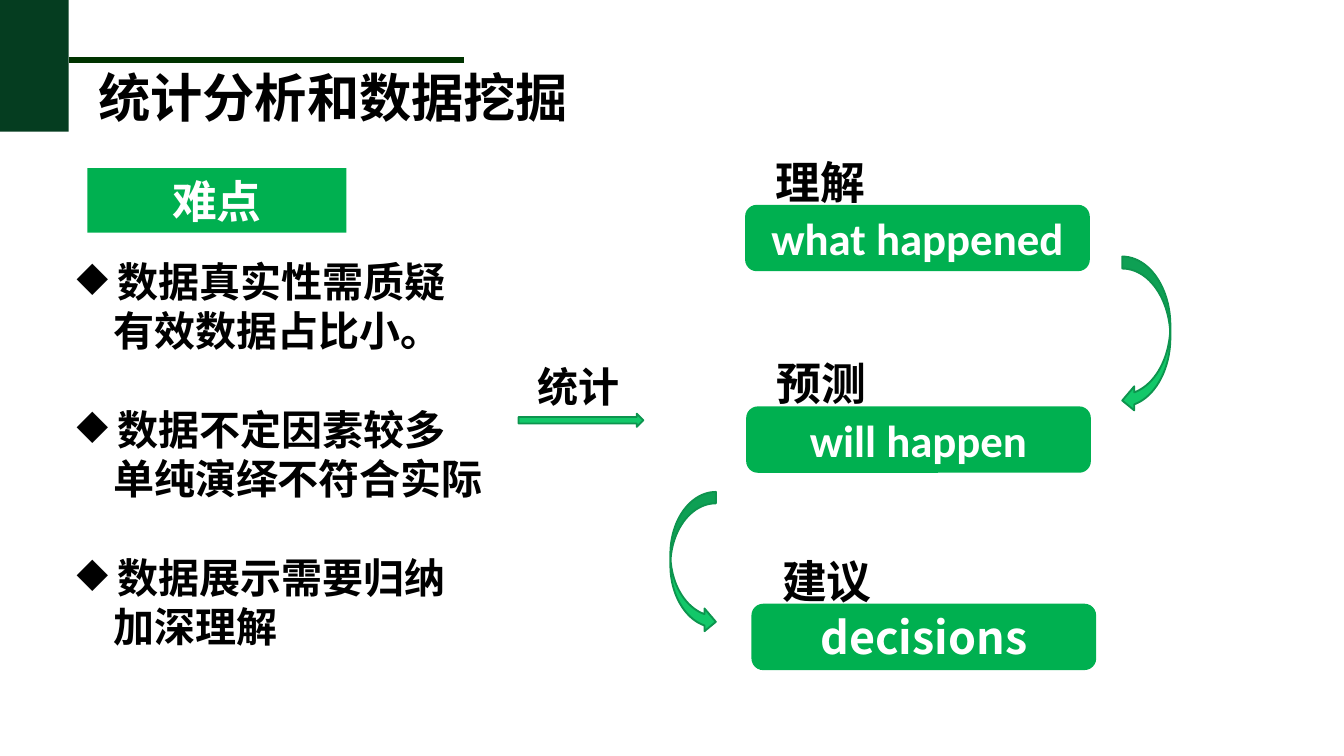
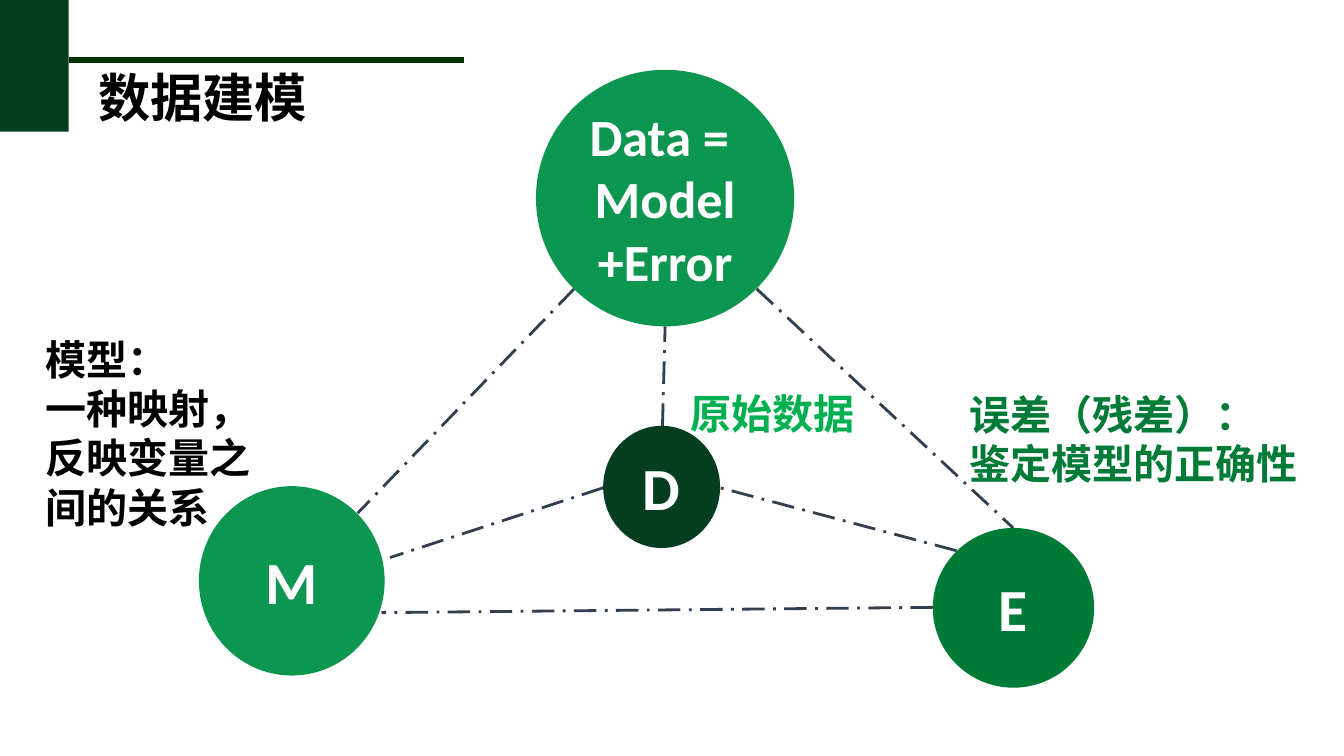
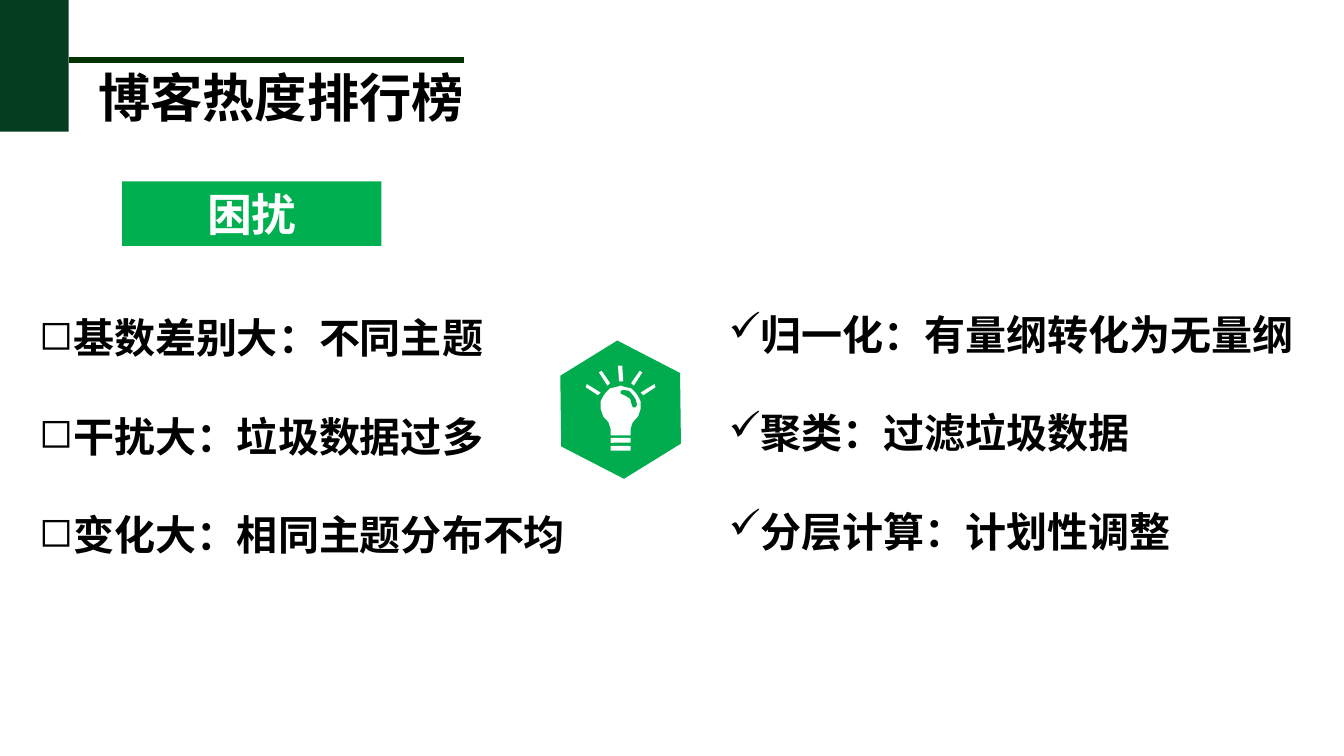
from dataclasses import dataclass

import lxml.etree
import pptx
import pptx.dml.color
import pptx.enum.dml
import pptx.enum.shapes
import pptx.enum.text
import pptx.oxml.ns
import pptx.util

Cm = pptx.util.Cm
Pt = pptx.util.Pt
SHAPE = pptx.enum.shapes.MSO_SHAPE
ALIGN = pptx.enum.text.PP_ALIGN
ANCHOR = pptx.enum.text.MSO_ANCHOR

# Shared style
DARK, RULE, GREEN, LEAF, FOREST = "053D20", "003300", "00B050", "0D964F", "007A37"
ARROW_FILL, ARROW_LINE, LINK, HEXAGON = "12C869", "0D944E", "323F4F", "00AC4E"
WHITE, BLACK, INK = "FFFFFF", "000000", "010101"
CHINESE, LATIN, ACCENT = "Noto Sans CJK SC", "Calibri", "TeX Gyre Adventor"
LINE_PITCH = 1.2
BULB_CENTER = 11.73


@dataclass
class Box:
    left: float
    top: float
    width: float
    height: float

    def lengths(self) -> list:
        return [Cm(value) for value in (self.left, self.top, self.width, self.height)]


@dataclass
class Style:
    size: float = 22
    color: str = BLACK
    font: str = CHINESE
    align: object = ALIGN.LEFT
    pitch: float = LINE_PITCH


@dataclass
class Line:
    text: str
    bullet: str = ""
    indent: float = 0
    gap: bool = False


@dataclass
class Step:
    left: float
    top: float
    label: str
    result: str
    font: str = LATIN


@dataclass
class Circle:
    box: Box
    color: str
    lines: list
    size: float


@dataclass
class Note:
    box: Box
    lines: list
    style: Style


@dataclass
class Link:
    x1: float
    y1: float
    x2: float
    y2: float


TAG_STYLE = Style(24, WHITE, LATIN, ALIGN.CENTER)


def rgb(value: str):
    return pptx.dml.color.RGBColor.from_string(value)


def add_xml(parent, tag: str, **attributes) -> None:
    lxml.etree.SubElement(parent, pptx.oxml.ns.qn(tag), **attributes)


def write(shape, lines: list, style: Style, anchor=ANCHOR.TOP,
          margins: tuple = (0.18, 0.1, 0.18, 0.1)) -> None:
    """Fill a shape with bold lines on an even line pitch."""
    frame = shape.text_frame
    frame.text = "\n".join(line.text for line in lines)
    frame.word_wrap = True
    frame.vertical_anchor = anchor
    (frame.margin_left, frame.margin_top,
     frame.margin_right, frame.margin_bottom) = map(Cm, margins)
    pitch = Pt(style.size * style.pitch)
    for para, line in zip(frame.paragraphs, lines):
        para.alignment = style.align
        para.line_spacing = pitch
        if line.gap:
            para.space_before = pitch
        properties = para._p.get_or_add_pPr()
        properties.set("marL", str(Cm(line.indent)))
        properties.set("indent", "0")
        if line.bullet:
            add_xml(properties, "a:buChar", char=line.bullet)
        for span in para.runs:
            span.font.size = Pt(style.size)
            span.font.bold = True
            span.font.name = style.font
            span.font.color.rgb = rgb(style.color)
            add_xml(span._r.get_or_add_rPr(), "a:ea", typeface=CHINESE)


def paint(shape, fill: str, outline: str = ""):
    shape.shadow.inherit = False
    shape.fill.solid()
    shape.fill.fore_color.rgb = rgb(fill)
    if outline:
        shape.line.color.rgb = rgb(outline)
        shape.line.width = Pt(1)
    else:
        shape.line.fill.background()
    return shape


def add_block(page, kind, box: Box, fill: str, outline: str = ""):
    return paint(page.shapes.add_shape(kind, *box.lengths()), fill, outline)


def add_text(page, box: Box, lines: list, style: Style, **layout) -> None:
    write(page.shapes.add_textbox(*box.lengths()), lines, style, **layout)


def add_line(page, link: Link, color: str, width: float, dash=None) -> None:
    ends = [Cm(value) for value in (link.x1, link.y1, link.x2, link.y2)]
    line = page.shapes.add_connector(pptx.enum.shapes.MSO_CONNECTOR.STRAIGHT, *ends)
    line.line.color.rgb = rgb(color)
    line.line.width = Pt(width)
    if dash:
        line.line.dash_style = dash
    add_xml(line._element.spPr, "a:effectLst")


def add_outline(page, points: list, fill: str) -> None:
    """Draw a closed polygon; x counts from the centre of the bulb."""
    corners = [(Cm(BULB_CENTER + x), Cm(y)) for x, y in points]
    builder = page.shapes.build_freeform(*corners[0])
    builder.add_line_segments(corners[1:], close=True)
    paint(builder.convert_to_shape(), fill)


def mirror(points: list) -> list:
    return [(-x, y) for x, y in points]


def add_tag(page, left: float, top: float, text: str) -> None:
    tag = add_block(page, SHAPE.RECTANGLE, Box(left, top, 4.9, 1.22), GREEN)
    write(tag, [Line(text)], TAG_STYLE, ANCHOR.MIDDLE)


def add_page(deck, title: str):
    """Start a page with the corner band, rule and title."""
    page = deck.slides.add_slide(deck.slide_layouts[6])
    add_block(page, SHAPE.RECTANGLE, Box(0, 0, 1.3, 2.49), DARK)
    add_line(page, Link(1.3, 1.14, 8.76, 1.14), RULE, 3)
    add_text(page, Box(1.68, 1.14, 13.3, 1.4), [Line(title)], Style(28))
    return page


def build_analysis(deck) -> None:
    page = add_page(deck, "统计分析和数据挖掘")
    add_tag(page, 1.65, 3.18, "难点")

    # Difficulties
    difficulties = [
        ("数据真实性需质疑", "有效数据占比小。"),
        ("数据不定因素较多", "单纯演绎不符合实际"),
        ("数据展示需要归纳", "加深理解"),
    ]
    lines = []
    for issue, detail in difficulties:
        lines += [Line(" " + issue, "◆", gap=bool(lines)), Line(detail, indent=0.69)]
    add_text(page, Box(1.27, 4.75, 8.31, 7.67), lines, Style())

    # Steps from understanding to decisions
    steps = [
        Step(13.06, 2.82, "理解", "what happened"),
        Step(13.08, 6.63, "预测", "will happen"),
        Step(13.18, 10.36, "建议", "decisions", CHINESE),
    ]
    for step in steps:
        label = add_block(page, SHAPE.ROUNDED_RECTANGLE,
                          Box(step.left, step.top, 4.9, 1.22), WHITE)
        write(label, [Line(step.label)], Style(24, BLACK, LATIN, ALIGN.CENTER),
              ANCHOR.MIDDLE)
        bar = add_block(page, SHAPE.ROUNDED_RECTANGLE,
                        Box(step.left + 1.04, step.top + 1.07, 6.48, 1.22), GREEN, GREEN)
        write(bar, [Line(step.result)], Style(24, WHITE, step.font, ALIGN.CENTER),
              ANCHOR.MIDDLE)

    # Arrows
    add_text(page, Box(9.98, 6.43, 2.21, 1.24), [Line("统计")], Style(pitch=1.6))
    arrows = [
        (SHAPE.CURVED_LEFT_ARROW, Box(21.21, 4.85, 0.91, 2.95)),
        (SHAPE.CURVED_RIGHT_ARROW, Box(12.67, 9.3, 0.86, 2.67)),
        (SHAPE.RIGHT_ARROW, Box(9.8, 7.82, 2.36, 0.25)),
    ]
    for kind, box in arrows:
        add_block(page, kind, box, ARROW_FILL, ARROW_LINE)


def build_model(deck) -> None:
    page = add_page(deck, "数据建模")

    # Links lie behind the circles
    links = [
        Link(14.3, 5.46, 19.15, 9.98),
        Link(10.85, 5.46, 6.76, 9.7),
        Link(17.63, 11.48, 7.21, 11.58),
        Link(11.4, 9.22, 7.37, 10.54),
        Link(18.08, 10.41, 13.61, 9.22),
        Link(12.52, 8.05, 12.57, 6.17),
    ]
    for link in links:
        add_line(page, link, LINK, 1.5, pptx.enum.dml.MSO_LINE.LONG_DASH_DOT)

    circles = [
        Circle(Box(10.13, 1.32, 4.88, 4.85), LEAF, ["Data = ", "Model+Error"], 28),
        Circle(Box(11.4, 8.05, 2.21, 2.31), DARK, ["D"], 32),
        Circle(Box(3.76, 9.19, 3.51, 3.58), LEAF, ["M"], 32),
        Circle(Box(17.63, 9.98, 3.05, 3.02), FOREST, ["E"], 32),
    ]
    for circle in circles:
        disc = add_block(page, SHAPE.OVAL, circle.box, circle.color)
        write(disc, [Line(text) for text in circle.lines],
              Style(circle.size, WHITE, LATIN, ALIGN.CENTER), ANCHOR.MIDDLE)

    notes = [
        Note(Box(12.88, 7.24, 3.53, 1.14), ["原始数据"], Style(22, GREEN, ACCENT)),
        Note(Box(0.69, 6.22, 4.9, 3.96),
             ["模型：", "一种映射，反映变量之间的关系"], Style()),
        Note(Box(18.14, 7.26, 6.71, 2.08),
             ["误差（残差）：", "鉴定模型的正确性"], Style(22, FOREST)),
    ]
    for note in notes:
        add_text(page, note.box, [Line(text) for text in note.lines], note.style)


def draw_bulb(page) -> None:
    hexagon = add_block(page, SHAPE.HEXAGON, Box(10.41, 6.6, 2.64, 2.29), HEXAGON)
    hexagon.adjustments[0] = 0.3
    hexagon.rotation = 328.3

    # Glass, with a highlight
    half = [(0.1, 7.32), (0.2, 7.34), (0.28, 7.42), (0.33, 7.49), (0.38, 7.59),
            (0.38, 7.72), (0.33, 7.87), (0.23, 7.98), (0.19, 8.1), (0.19, 8.23)]
    add_outline(page, [(0, 7.29)] + half + mirror(half[::-1]), WHITE)
    highlight = [(0.06, 7.37), (0.16, 7.39), (0.23, 7.47), (0.28, 7.54),
                 (0.31, 7.65), (0.28, 7.7), (0.23, 7.7), (0.21, 7.65),
                 (0.18, 7.54), (0.11, 7.49), (0, 7.44), (0, 7.39)]
    add_outline(page, highlight, HEXAGON)

    # Screw base
    for top in (8.28, 8.43):
        add_block(page, SHAPE.ROUNDED_RECTANGLE,
                  Box(BULB_CENTER - 0.19, top, 0.38, 0.09), WHITE)

    # Rays
    upright = [(-0.03, 7.21), (-0.05, 6.91), (0.03, 6.91), (0.05, 7.21)]
    steep = [(0.25, 7.29), (0.41, 7.04), (0.36, 7.01), (0.2, 7.24)]
    flat = [(0.64, 7.26), (0.38, 7.42), (0.43, 7.47), (0.66, 7.32)]
    for ray in (upright, steep, mirror(steep), flat, mirror(flat)):
        add_outline(page, ray, WHITE)


def build_ranking(deck) -> None:
    page = add_page(deck, "博客热度排行榜")
    add_tag(page, 2.31, 3.43, "困扰")
    draw_bulb(page)

    # Troubles on the left, remedies on the right
    columns = [
        (Box(0.74, 5.49, 10.24, 6.15), "◻", 0.65,
         ["基数差别大：不同主题", "干扰大：垃圾数据过多", "变化大：相同主题分布不均"]),
        (Box(13.77, 5.44, 11.1, 6.22), "✓", 0.75,
         ["归一化：有量纲转化为无量纲", "聚类：过滤垃圾数据", "分层计算：计划性调整"]),
    ]
    for box, bullet, bottom, texts in columns:
        lines = [Line(text, bullet, gap=index > 0) for index, text in enumerate(texts)]
        add_text(page, box, lines, Style(color=INK), anchor=ANCHOR.MIDDLE,
                 margins=(0, 0, 0, bottom))


def main() -> None:
    deck = pptx.Presentation()
    deck.slide_width, deck.slide_height = Cm(25.4), Cm(14.29)
    build_analysis(deck)
    build_model(deck)
    build_ranking(deck)
    deck.save("out.pptx")


if __name__ == "__main__":
    main()
